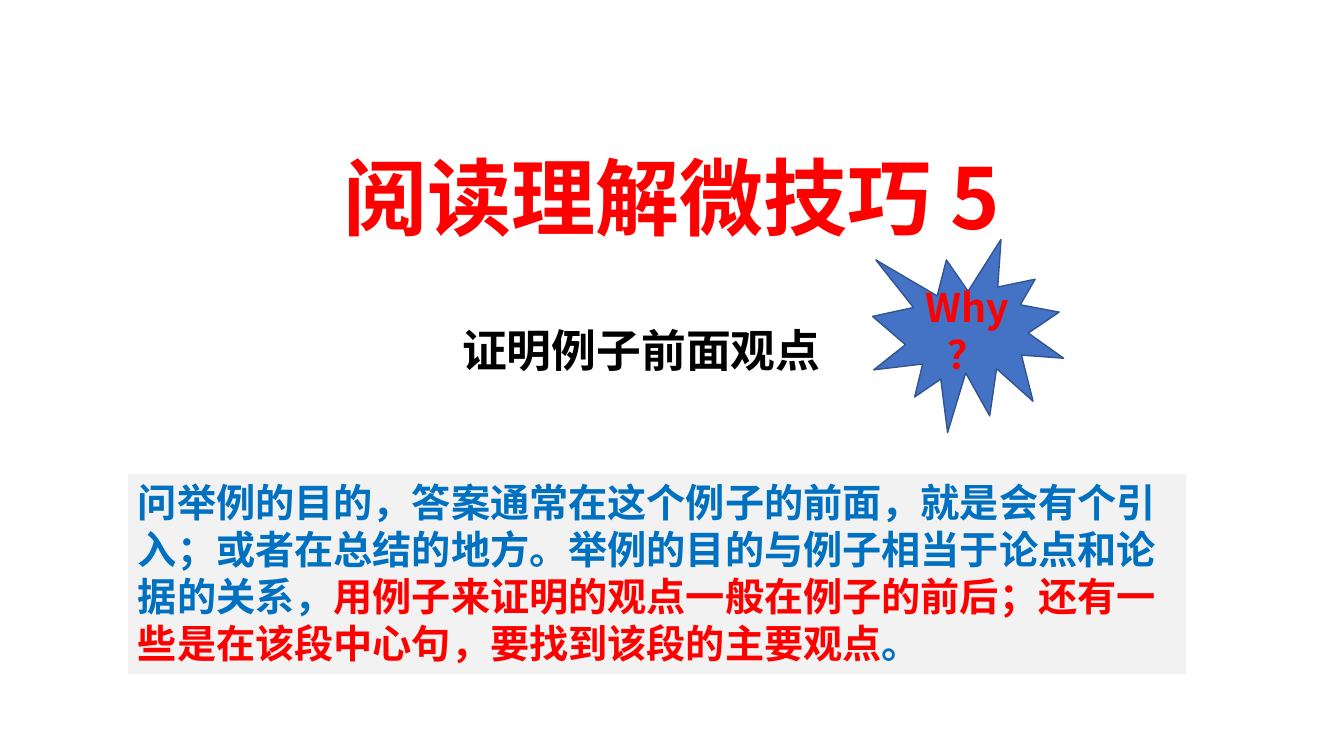
from lxml.etree import SubElement
from pptx import Presentation
from pptx.dml.color import RGBColor
from pptx.enum.shapes import MSO_SHAPE as Preset
from pptx.enum.text import MSO_ANCHOR as Anchor, PP_ALIGN as Align
from pptx.oxml.ns import qn
from pptx.util import Pt

PX = 9525
FONT = "Noto Sans CJK SC"
COLORS = {
    "red": "FF0000",
    "blue": "0070C0",
    "black": "000000",
    "panel": "F2F2F2",
    "burst": "4472C4",
    "burst_edge": "325491",
}


def color(name):
    return RGBColor.from_string(COLORS[name])


def write(shape, runs, size, align=Align.LEFT, anchor=Anchor.TOP, spacing=None):
    frame = shape.text_frame
    frame.word_wrap = True
    frame.vertical_anchor = anchor
    paragraph = frame.paragraphs[0]
    paragraph.alignment = align
    paragraph.line_spacing = spacing
    for text, tint in runs:
        run = paragraph.add_run()
        run.text = text
        run.font.size = Pt(size)
        run.font.bold = True
        run.font.color.rgb = color(tint)
        run.font.name = FONT
        SubElement(run.font._element, qn("a:ea"), typeface=FONT)


deck = Presentation()
deck.slide_width, deck.slide_height = 1280 * PX, 720 * PX
shapes = deck.slides.add_slide(deck.slide_layouts[6]).shapes

title = shapes.add_textbox(160 * PX, 133 * PX, 960 * PX, 108 * PX)
write(title, [("阅读理解微技巧 5", "red")], 60, Align.CENTER, Anchor.BOTTOM, 0.9)

advice = shapes.add_shape(Preset.RECTANGLE, 122 * PX, 451 * PX, 1008 * PX, 191 * PX)
advice.shadow.inherit = False
advice.fill.solid()
advice.fill.fore_color.rgb = color("panel")
advice.line.fill.background()
write(advice, [
    ("问举例的目的，答案通常在这个例子的前面，就是会有个引入；或者在总结的地方。"
     "举例的目的与例子相当于论点和论据的关系，", "blue"),
    ("用例子来证明的观点一般在例子的前后；还有一些是在该段中心句，"
     "要找到该段的主要观点", "red"),
    ("。", "blue"),
], 28)

why = shapes.add_shape(Preset.EXPLOSION1, 831 * PX, 228 * PX, 182 * PX, 184 * PX)
why.shadow.inherit = False
why.fill.solid()
why.fill.fore_color.rgb = color("burst")
why.line.color.rgb = color("burst_edge")
why.line.width = Pt(1)
write(why, [("Why？", "red")], 28, Align.CENTER, Anchor.MIDDLE)

subtitle = shapes.add_textbox(328 * PX, 308 * PX, 566 * PX, 69 * PX)
write(subtitle, [("证明例子前面观点", "black")], 32, Align.CENTER, spacing=0.9)

deck.save("out.pptx")
